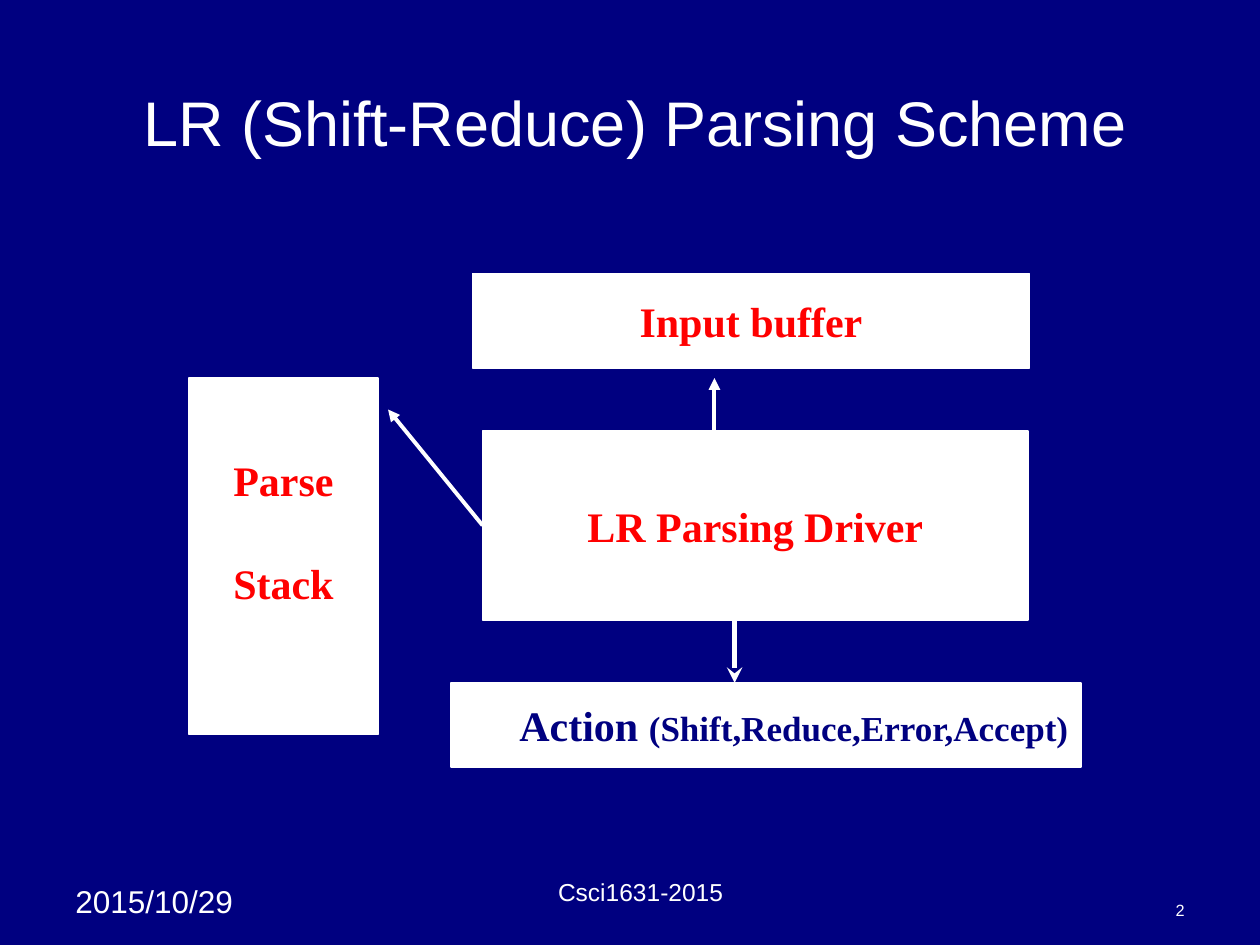
from lxml import etree
from pptx import Presentation
from pptx.dml.color import RGBColor
from pptx.enum.shapes import MSO_CONNECTOR as CONN, MSO_SHAPE as SHAPE
from pptx.enum.text import MSO_ANCHOR as ANCHOR, PP_ALIGN as ALIGN
from pptx.oxml.ns import qn
from pptx.util import Inches, Pt

COLORS = {"navy": "000080", "white": "FFFFFF", "red": "FF0000"}
SANS, SERIF = "Arial", "Times New Roman"


def rgb(name):
    """Return the named palette colour."""
    return RGBColor.from_string(COLORS[name])


def add_text(p, text, font=SANS, size=24, color="white", bold=False, align=ALIGN.CENTER):
    """Add a formatted run to a paragraph."""
    p.alignment = align
    r = p.add_run()
    r.text = text
    r.font.name, r.font.size, r.font.bold = font, Pt(size), bold
    r.font.color.rgb = rgb(color)


def add_label(s, box, text, anchor=ANCHOR.BOTTOM, **fmt):
    """Place a single-line text box."""
    tf = s.shapes.add_textbox(*map(Inches, box)).text_frame
    tf.word_wrap = True
    tf.vertical_anchor = anchor
    add_text(tf.paragraphs[0], text, **fmt)


def add_block(s, box):
    """Place a white diagram block and return it."""
    sp = s.shapes.add_shape(SHAPE.RECTANGLE, *map(Inches, box))
    sp.shadow.inherit = False
    sp.fill.solid()
    sp.fill.fore_color.rgb = rgb("white")
    sp.line.color.rgb = rgb("white")
    sp.line.width = Pt(1)
    sp.text_frame.word_wrap = True
    sp.text_frame.vertical_anchor = ANCHOR.MIDDLE
    return sp


def add_arrow(s, start, end, width=2.25, head="triangle"):
    """Draw a white arrow and return its connector."""
    line = s.shapes.add_connector(CONN.STRAIGHT, *map(Inches, start + end))
    line.line.color.rgb = rgb("white")
    line.line.width = Pt(width)
    etree.SubElement(line.line._get_or_add_ln(), qn("a:tailEnd"), type=head)
    etree.SubElement(line._element.spPr, qn("a:effectLst"))
    return line


def add_diagram(s, x, y):
    """Place the parser blocks and arrows from the given top left corner."""
    label = dict(font=SERIF, color="red", bold=True)

    stack = add_block(s, (x, y + 0.83, 1.5, 2.83))
    tf = stack.text_frame
    tf.margin_bottom = Inches(0.45)
    add_text(tf.paragraphs[0], "Parse", **label)
    p = tf.add_paragraph()
    p.space_before = Pt(30)
    add_text(p, "Stack", **label)

    buffer = add_block(s, (x + 2.25, y, 4.42, 0.75))
    add_text(buffer.text_frame.paragraphs[0], "Input buffer", **label)
    driver = add_block(s, (x + 2.33, y + 1.25, 4.33, 1.5))
    add_text(driver.text_frame.paragraphs[0], "LR Parsing Driver", **label)

    action = add_block(s, (x + 2.08, y + 3.25, 5, 0.67))
    p = action.text_frame.paragraphs[0]
    label.update(color="navy", align=ALIGN.RIGHT)
    add_text(p, "Action ", **label)
    add_text(p, "(Shift,Reduce,Error,Accept)", size=20, **label)

    to_stack = add_arrow(s, (x + 2.33, y + 2), (x + 1.58, y + 1.08))
    to_stack.begin_connect(driver, 1)
    add_arrow(s, (x + 4.17, y + 1.25), (x + 4.17, y + 0.83))
    add_arrow(s, (x + 4.33, y + 2.75), (x + 4.33, y + 3.25), width=3, head="stealth")


def add_footer(s, x, y):
    """Place the date, course and page number from the given top left corner."""
    add_label(s, (x, y, 1.58, 0.4), "2015/10/29", anchor=ANCHOR.TOP, size=18, align=ALIGN.LEFT)
    add_label(s, (x + 3, y + 0.02, 3.17, 0.27), "Csci1631-2015", size=14)
    add_label(s, (x + 6.67, y + 0.13, 2.33, 0.27), "2", size=9.3, align=ALIGN.RIGHT)


def main():
    """Build and save the slide."""
    prs = Presentation()
    prs.slide_width, prs.slide_height = Inches(10), Inches(7.5)
    s = prs.slides.add_slide(prs.slide_layouts[6])
    s.background.fill.solid()
    s.background.fill.fore_color.rgb = rgb("navy")
    add_label(s, (0.58, 0.5, 8.92, 0.92), "LR (Shift-Reduce) Parsing Scheme",
              anchor=ANCHOR.MIDDLE, size=36)
    add_diagram(s, 1.5, 2.17)
    add_footer(s, 0.5, 6.95)
    prs.save("out.pptx")


if __name__ == "__main__":
    main()
